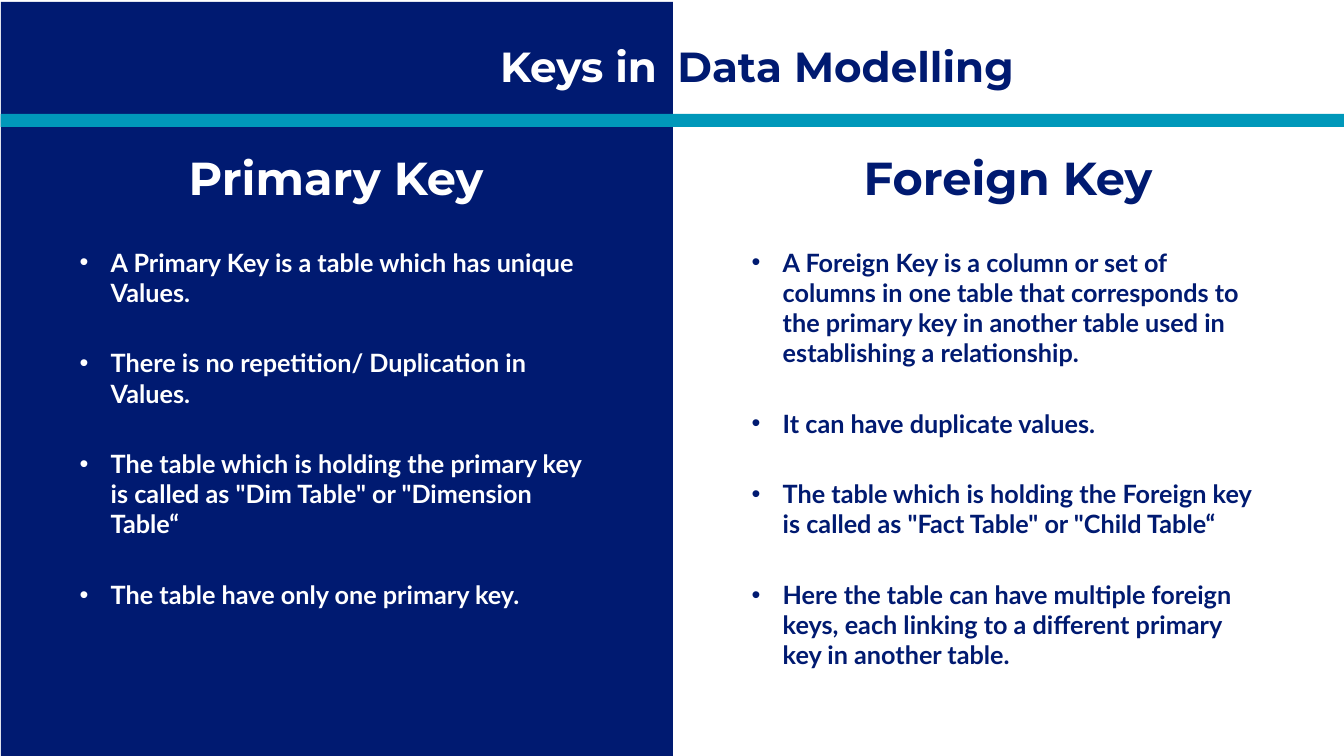
from pptx import Presentation
from pptx.dml.color import RGBColor
from pptx.enum.shapes import MSO_SHAPE
from pptx.enum.text import MSO_ANCHOR, MSO_AUTO_SIZE, PP_ALIGN
from pptx.util import Cm, Pt

RECTANGLE = MSO_SHAPE.RECTANGLE
TOP = MSO_ANCHOR.TOP
NO_FIT = MSO_AUTO_SIZE.NONE
LEFT, CENTER = PP_ALIGN.LEFT, PP_ALIGN.CENTER

NAVY = RGBColor(0x00, 0x1A, 0x71)
TEAL = RGBColor(0x00, 0x98, 0xBA)
WHITE = RGBColor(0xFF, 0xFF, 0xFF)

TITLE_LEFT = "Keys in"
TITLE_RIGHT = "Data Modelling"
KEYS = [
    {
        "heading": "Primary Key",
        "color": WHITE,
        "height": 16.31,
        "points": [
            "A Primary Key is a table which has unique Values.",
            "There is no repetition/ Duplication in Values.",
            'The table which is holding the primary key is called as "Dim Table" or "Dimension Table“',
            "The table have only one primary key.",
        ],
    },
    {
        "heading": "Foreign Key",
        "color": NAVY,
        "height": 22.45,
        "points": [
            "A Foreign Key is a column or set of columns in one table that corresponds to "
            "the primary key in another table used in establishing a relationship.",
            "It can have duplicate values.",
            'The table which is holding the Foreign key is called as "Fact Table" or "Child Table“',
            "Here the table can have multiple foreign keys, each linking to a different "
            "primary key in another table.",
        ],
    },
]

SLIDE_W, SLIDE_H = 67.72, 38.1
HALF = SLIDE_W / 2
TITLE_TOP, TITLE_H = 1.93, 2.82
HANGING = Cm(1.57)
POINT_GAP = Pt(57.5)

TITLE_FONT = {"name": "Montserrat", "size": Pt(60), "bold": True}
HEADING_FONT = {"name": "Montserrat", "size": Pt(66), "bold": True}
POINT_FONT = {"name": "Lato", "size": Pt(36), "bold": True}
FRAME = {"word_wrap": True, "auto_size": NO_FIT, "vertical_anchor": TOP}
POINT_MARGINS = {
    "margin_left": Cm(0.61), "margin_right": Cm(0.61),
    "margin_top": Cm(0.3), "margin_bottom": Cm(0.3),
}


def set_all(target, values):
    for name, value in values.items():
        setattr(target, name, value)


def place(part, left, top, width, height):
    set_all(part, {"left": Cm(left), "top": Cm(top), "width": Cm(width), "height": Cm(height)})


def write(part, lines, font, color, align=LEFT, gap=Pt(0)):
    frame = part.text_frame
    set_all(frame, FRAME)
    frame.text = "\n".join(lines)
    for number, paragraph in enumerate(frame.paragraphs):
        set_all(paragraph, {"alignment": align, "space_before": gap if number else Pt(0)})
        for run in paragraph.runs:
            set_all(run.font, font)
            run.font.color.rgb = color


def add_band(shapes, position, color, left, top, width, height):
    band = shapes.add_shape(RECTANGLE, Cm(left), Cm(top), Cm(width), Cm(height))
    band.shadow.inherit = False
    band.fill.solid()
    band.fill.fore_color.rgb = color
    band.line.fill.background()
    shapes._spTree.insert(position, band._element)


def main():
    deck = Presentation()
    set_all(deck, {"slide_width": Cm(SLIDE_W), "slide_height": Cm(SLIDE_H)})
    slide = deck.slides.add_slide(deck.slide_layouts.get_by_name("Comparison"))
    shapes = slide.shapes
    title, *bodies = slide.placeholders

    add_band(shapes, 2, NAVY, 0.05, 0.1, HALF, SLIDE_H)
    add_band(shapes, 3, TEAL, 0.03, 5.74, SLIDE_W, 0.66)

    place(title, 24.94, TITLE_TOP, 8.94, TITLE_H)
    write(title, [TITLE_LEFT], TITLE_FONT, WHITE)
    title_end = shapes.add_textbox(Cm(33.88), Cm(TITLE_TOP), Cm(17.7), Cm(TITLE_H))
    write(title_end, [TITLE_RIGHT], TITLE_FONT, NAVY)

    for column, key in enumerate(KEYS):
        heading, points = bodies[2 * column:2 * column + 2]
        offset = column * HALF
        place(heading, 8.41 + offset, 7.42, 17.04, 3.07)
        write(heading, [key["heading"]], HEADING_FONT, key["color"], CENTER)
        place(points, 3.4 + offset, 12.14, 27.05, key["height"])
        write(points, key["points"], POINT_FONT, key["color"], gap=POINT_GAP)
        set_all(points.text_frame, POINT_MARGINS)
        for paragraph in points.text_frame.paragraphs:
            properties = paragraph._p.get_or_add_pPr()
            properties.set("marL", str(HANGING))
            properties.set("indent", str(-HANGING))

    deck.save("out.pptx")


if __name__ == "__main__":
    main()
